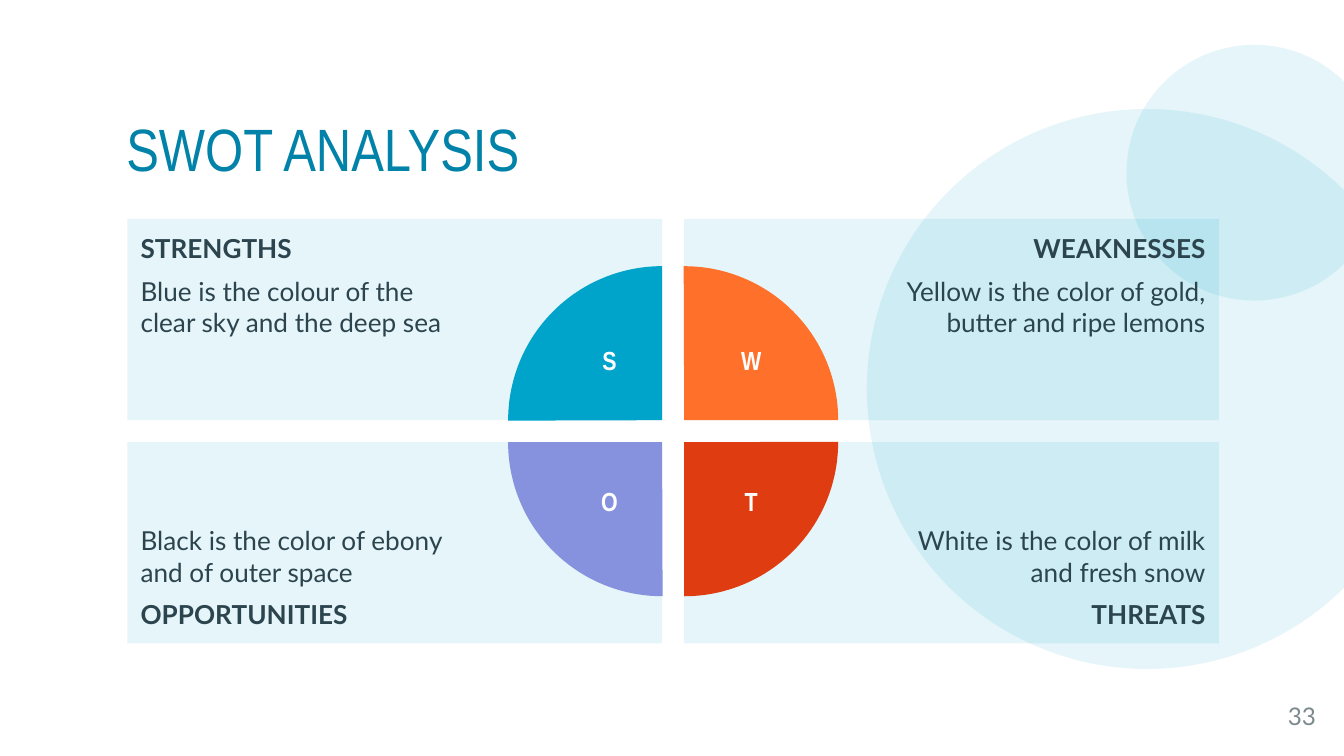
from lxml import etree
from pptx import Presentation
from pptx.dml.color import RGBColor as RGB
from pptx.enum.shapes import MSO_SHAPE as SHAPE
from pptx.enum.text import MSO_ANCHOR as ANCHOR, MSO_AUTO_SIZE as AUTO, PP_ALIGN as ALIGN
from pptx.oxml.ns import qn
from pptx.util import Pt

THEME = {
    "head_font": "Arial Narrow", "body_font": "Lato",
    "title": "0082A9", "text": "2C444E", "number": "7D8A8D", "white": "FFFFFF",
    "blue": "00A4CA", "orange": "FF712A", "red": "DF3D11", "violet": "8792DF",
    "title_size": 32, "text_size": 14, "number_size": 13, "tint": 10,
}


def add_solid(kind, box, color, opacity=100):
    """Add a borderless preset shape; box is in points, opacity in percent."""
    sp = s.shapes.add_shape(kind, *map(Pt, box))
    sp.shadow.inherit = False
    sp.line.fill.background()
    sp.fill.solid()
    sp.fill.fore_color.rgb = RGB.from_string(THEME[color])
    if opacity < 100:
        clr = sp.fill._xPr.find(qn("a:solidFill"))[0]
        etree.SubElement(clr, qn("a:alpha"), val=str(opacity * 1000))
    return sp


def write(sp, lines, font, size, color, align, anchor, insets=(0, 0, 0, 0)):
    """Fill a shape with (text, bold) lines; insets are left, top, right, bottom."""
    tf = sp.text_frame
    frame = {"word_wrap": True, "auto_size": AUTO.NONE, "vertical_anchor": anchor}
    sides = ("margin_left", "margin_top", "margin_right", "margin_bottom")
    frame.update(zip(sides, map(Pt, insets)))
    for name, value in frame.items():
        setattr(tf, name, value)
    style = {"name": THEME[font], "size": Pt(THEME[size])}
    for i, (text, bold) in enumerate(lines):
        p = tf.paragraphs[0] if i == 0 else tf.add_paragraph()
        p.alignment = align
        if i:
            p.space_before = p.space_after = Pt(6)
        r = p.add_run()
        r.text = text
        for name, value in {**style, "bold": bold}.items():
            setattr(r.font, name, value)
        r.font.color.rgb = RGB.from_string(THEME[color])


prs = Presentation()
prs.slide_width, prs.slide_height = Pt(720), Pt(405)
s = prs.slides.add_slide(prs.slide_layouts[5])

# Background circles, cut off at the right edge of the slide
for box in [(464.4, 58.4, 300, 300), (603.5, 24, 137, 137)]:
    sp = add_solid(SHAPE.CHORD, box, "blue", THEME["tint"])
    sp.adjustments[0], sp.adjustments[1] = 27, 189

title = s.shapes.title
for name, value in {"left": 67.7, "top": 51.8, "width": 519.8, "height": 59}.items():
    setattr(title, name, Pt(value))
write(title, [("SWOT ANALYSIS", False)], "head_font", "title_size", "title",
      ALIGN.LEFT, ANCHOR.MIDDLE)
title.text_frame.paragraphs[0].line_spacing = 0.9

number = s.shapes.add_textbox(Pt(677.5), Pt(372.2), Pt(27.4), Pt(22.3))
write(number, [("33", False)], "body_font", "number_size", "number",
      ALIGN.RIGHT, ANCHOR.MIDDLE)

# Panels on a two by two grid, with a quarter disc at each inner corner
LEFT, TOP, WIDTH, HEIGHT, GAP = 68.2, 117.3, 286.5, 107.8, 11.8
DISC, PAD, CLEAR = 165, 7.2, 108
LETTER_X, LETTER_Y = (326.5, 402.5), (177.4, 252.7)
LETTER_W, LETTER_H = 36, 30

# Column, row, heading, body, colour, rotation
quadrants = [
    (0, 0, "STRENGTHS", "Blue is the colour of the clear sky and the deep sea",
     "blue", 0),
    (1, 0, "WEAKNESSES", "Yellow is the color of gold, butter and ripe lemons",
     "orange", 90),
    (0, 1, "OPPORTUNITIES", "Black is the color of ebony and of outer space",
     "violet", 270),
    (1, 1, "THREATS", "White is the color of milk and fresh snow",
     "red", 180),
]

for col, row, heading, body, color, turn in quadrants:
    x, y = LEFT + col * (WIDTH + GAP), TOP + row * (HEIGHT + GAP)
    panel = add_solid(SHAPE.RECTANGLE, (x, y, WIDTH, HEIGHT), "blue", THEME["tint"])
    lines = [(heading, True), (body, False)]
    write(panel, lines[::-1] if row else lines, "body_font", "text_size", "text",
          ALIGN.RIGHT if col else ALIGN.LEFT, ANCHOR.BOTTOM if row else ANCHOR.TOP,
          (CLEAR, PAD, PAD, PAD) if col else (PAD, PAD, CLEAR, PAD))

for col, row, heading, body, color, turn in quadrants:
    corner_x = LEFT + WIDTH + col * GAP
    corner_y = TOP + HEIGHT + row * GAP
    pie = add_solid(SHAPE.PIE, (corner_x - DISC / 2, corner_y - DISC / 2, DISC, DISC), color)
    pie.adjustments[0], pie.adjustments[1] = 107.89, 162
    pie.rotation = turn
    letter = s.shapes.add_textbox(Pt(LETTER_X[col] - LETTER_W / 2), Pt(LETTER_Y[row]),
                                  Pt(LETTER_W), Pt(LETTER_H))
    write(letter, [(heading[0], True)], "head_font", "text_size", "white",
          ALIGN.CENTER, ANCHOR.TOP, (0, PAD, 0, PAD))

prs.save("out.pptx")
